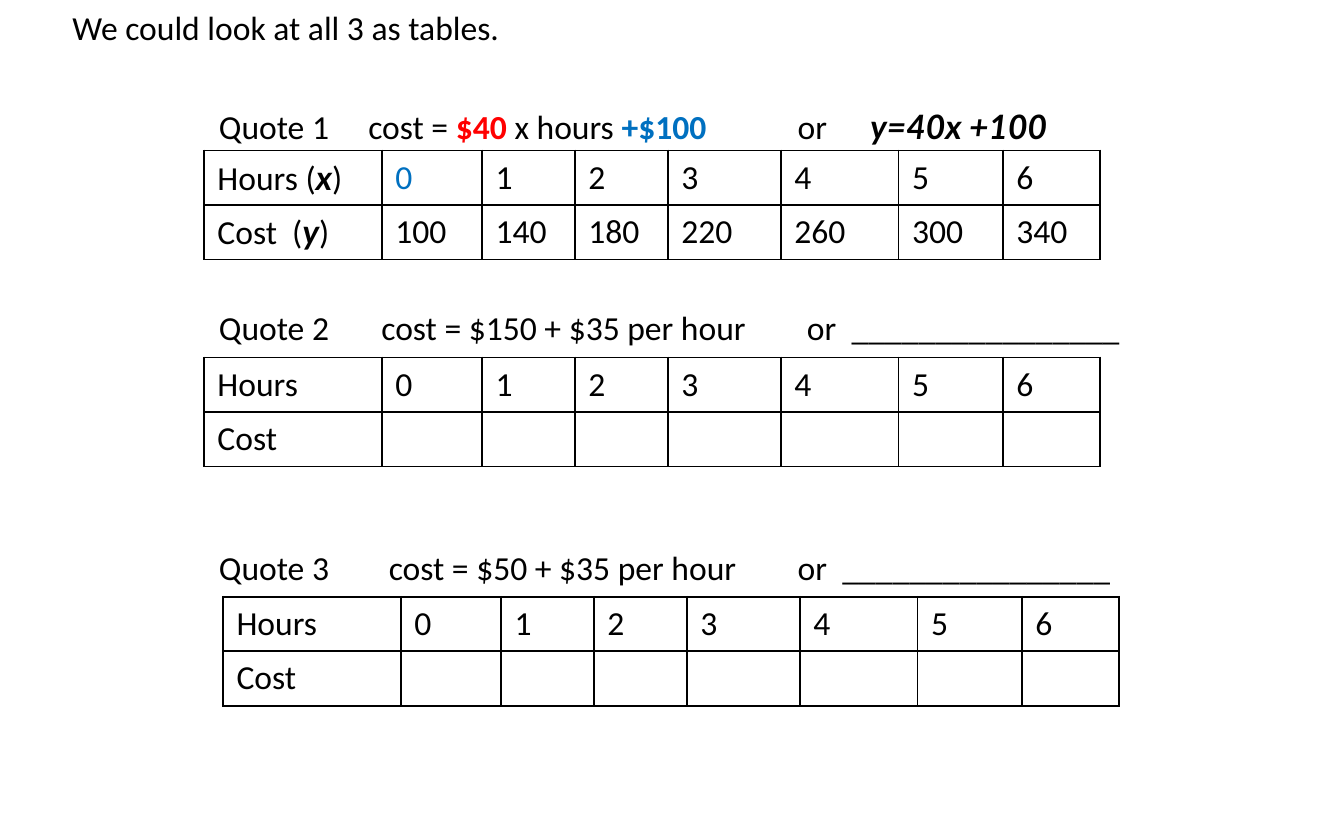
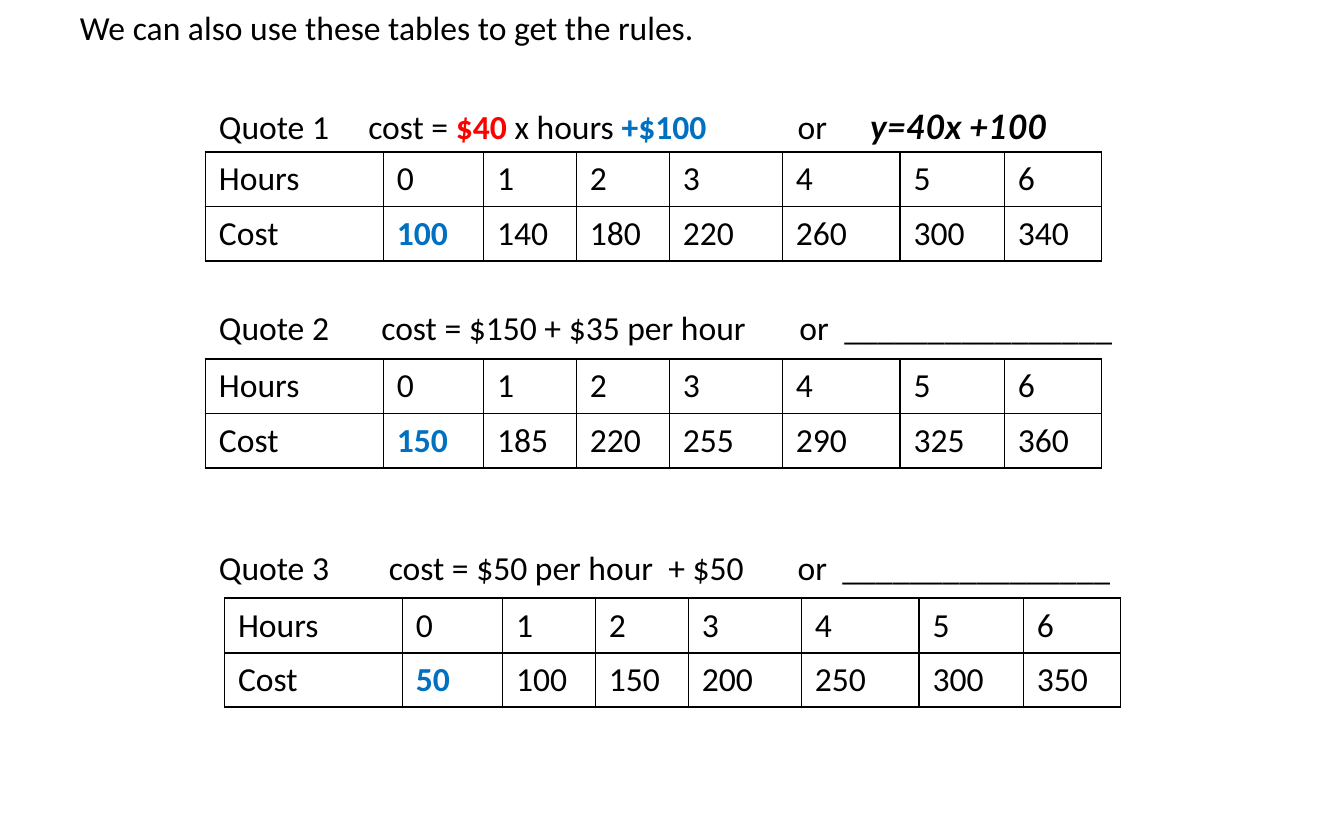
import pptx
import pptx.dml.color
import pptx.enum.text
import pptx.oxml
import pptx.oxml.ns
import pptx.util

Pt = pptx.util.Pt
COLORS = {"text": "000000", "rate": "FF0000", "start": "0070C0"}
STYLES = {
    "plain": ("Calibri", "text", False, False),
    "rate": ("Calibri", "rate", True, False),
    "start": ("Calibri", "start", True, False),
    "start_plain": ("Calibri", "start", False, False),
    "math": ("Lato", "text", True, True),
}
FONT_SIZE = 18
COLUMN_WIDTHS = [95.3, 53.7, 49.8, 49.8, 60.5, 63.1, 55.9, 52]
ROW_HEIGHT = 29.2
TABLE_POSITIONS = [(109.3, 80.6), (109.3, 191.5), (119.5, 319.7)]
QUOTE_SPACING = [0, 86, 107]
HOURS = range(7)
BLANK_RULE = "_" * 16


def plain(text):
    return [(text, "plain")]


def add_runs(paragraph, runs):
    paragraph.font.size = Pt(FONT_SIZE)
    for text, style in runs:
        name, color, bold, italic = STYLES[style]
        run = paragraph.add_run()
        run.text = text
        run.font.name = name
        run.font.size = Pt(FONT_SIZE)
        run.font.bold = bold
        run.font.italic = italic
        run.font.color.rgb = pptx.dml.color.RGBColor.from_string(COLORS[color])


def set_tabs(paragraph, stops):
    properties = paragraph._p.get_or_add_pPr()
    tabs = pptx.oxml.parse_xml(f"<a:tabLst {pptx.oxml.ns.nsdecls('a')}/>")
    for stop in stops:
        tab = tabs.makeelement(pptx.oxml.ns.qn("a:tab"), {"pos": str(Pt(stop)), "algn": "l"})
        tabs.append(tab)
    properties.append(tabs)


def add_text_box(slide, left, top, width, height):
    shape = slide.shapes.add_textbox(Pt(left), Pt(top), Pt(width), Pt(height))
    shape.text_frame.word_wrap = True
    shape.text_frame.auto_size = pptx.enum.text.MSO_AUTO_SIZE.SHAPE_TO_FIT_TEXT
    return shape.text_frame


def add_title(slide, text, left):
    frame = add_text_box(slide, left, 0, 605.5, 29)
    add_runs(frame.paragraphs[0], plain(text))


def add_quotes(slide, quotes):
    frame = add_text_box(slide, 110.2, 53.3, 531.4, 269.3)
    for index, (runs, stops) in enumerate(quotes):
        paragraph = frame.add_paragraph() if index else frame.paragraphs[0]
        if index:
            paragraph.space_before = Pt(QUOTE_SPACING[index])
        set_tabs(paragraph, stops)
        add_runs(paragraph, runs)


def outline_cell(cell):
    properties = cell._tc.get_or_add_tcPr()
    for side in "LRTB":
        properties.append(pptx.oxml.parse_xml(
            f'<a:ln{side} {pptx.oxml.ns.nsdecls("a")} w="{Pt(1)}"><a:solidFill>'
            f'<a:srgbClr val="{COLORS["text"]}"/></a:solidFill></a:ln{side}>'
        ))
    cell.fill.background()


def add_cost_table(slide, left, top, rows):
    frame = slide.shapes.add_table(
        len(rows), len(COLUMN_WIDTHS), Pt(left), Pt(top),
        Pt(sum(COLUMN_WIDTHS)), Pt(ROW_HEIGHT * len(rows)),
    )
    table = frame.table
    table.first_row = False
    table.horz_banding = False
    for column, width in zip(table.columns, COLUMN_WIDTHS):
        column.width = Pt(width)
    for row, contents in zip(table.rows, rows):
        row.height = Pt(ROW_HEIGHT)
        for cell, runs in zip(row.cells, contents):
            outline_cell(cell)
            add_runs(cell.text_frame.paragraphs[0], runs)


def hours_row(label=None, zero_style="plain"):
    cells = [plain(str(hour)) for hour in HOURS]
    cells[0] = [("0", zero_style)]
    return [label or plain("Hours")] + cells


def cost_row(start, rate, label=None, start_style="start"):
    cells = [plain(str(start + rate * hour)) for hour in HOURS]
    cells[0] = [(str(start), start_style)]
    return [label or plain("Cost")] + cells


def empty_cost_row():
    return [plain("Cost")] + [[] for hour in HOURS]


def axis_label(name, variable):
    return [(f"{name} (", "plain"), (variable, "math"), (")", "plain")]


def solved_quote():
    runs = [
        ("Quote 1\tcost = ", "plain"),
        ("$40 ", "rate"),
        ("x hours ", "plain"),
        ("+$100", "start"),
        ("\tor\t", "plain"),
        ("y=40x +100", "math"),
    ]
    return runs, [80, 310, 349]


def open_quote(number, formula, stops):
    return plain(f"Quote {number}\t{formula}\tor\t{BLANK_RULE}"), stops


def add_quote_slide(presentation, title, title_left, quotes, tables, shift=0):
    slide = presentation.slides.add_slide(presentation.slide_layouts[6])
    add_quotes(slide, quotes)
    for (left, top), rows in zip(TABLE_POSITIONS, tables):
        add_cost_table(slide, left + shift, top + shift, rows)
    add_title(slide, title, title_left)


def main():
    presentation = pptx.Presentation()
    presentation.slide_width = Pt(720)
    presentation.slide_height = Pt(450)
    add_quote_slide(
        presentation, "We could look at all 3 as tables.", 31.7,
        [
            solved_quote(),
            open_quote(2, "cost = $150 + $35 per hour", [87, 315, 339]),
            open_quote(3, "cost = $50 + $35 per hour", [91, 310, 334]),
        ],
        [
            [
                hours_row(axis_label("Hours", "x"), "start_plain"),
                cost_row(100, 40, axis_label("Cost ", "y"), "plain"),
            ],
            [hours_row(), empty_cost_row()],
            [hours_row(), empty_cost_row()],
        ],
    )
    add_quote_slide(
        presentation, "We can also use these tables to get the rules.", 35.7,
        [
            solved_quote(),
            open_quote(2, "cost = $150 + $35 per hour", [87, 311, 335]),
            open_quote(3, "cost = $50 per hour  + $50", [91, 310, 334]),
        ],
        [[hours_row(), cost_row(start, rate)] for start, rate in [(100, 40), (150, 35), (50, 50)]],
        shift=0.8,
    )
    presentation.save("out.pptx")


if __name__ == "__main__":
    main()
